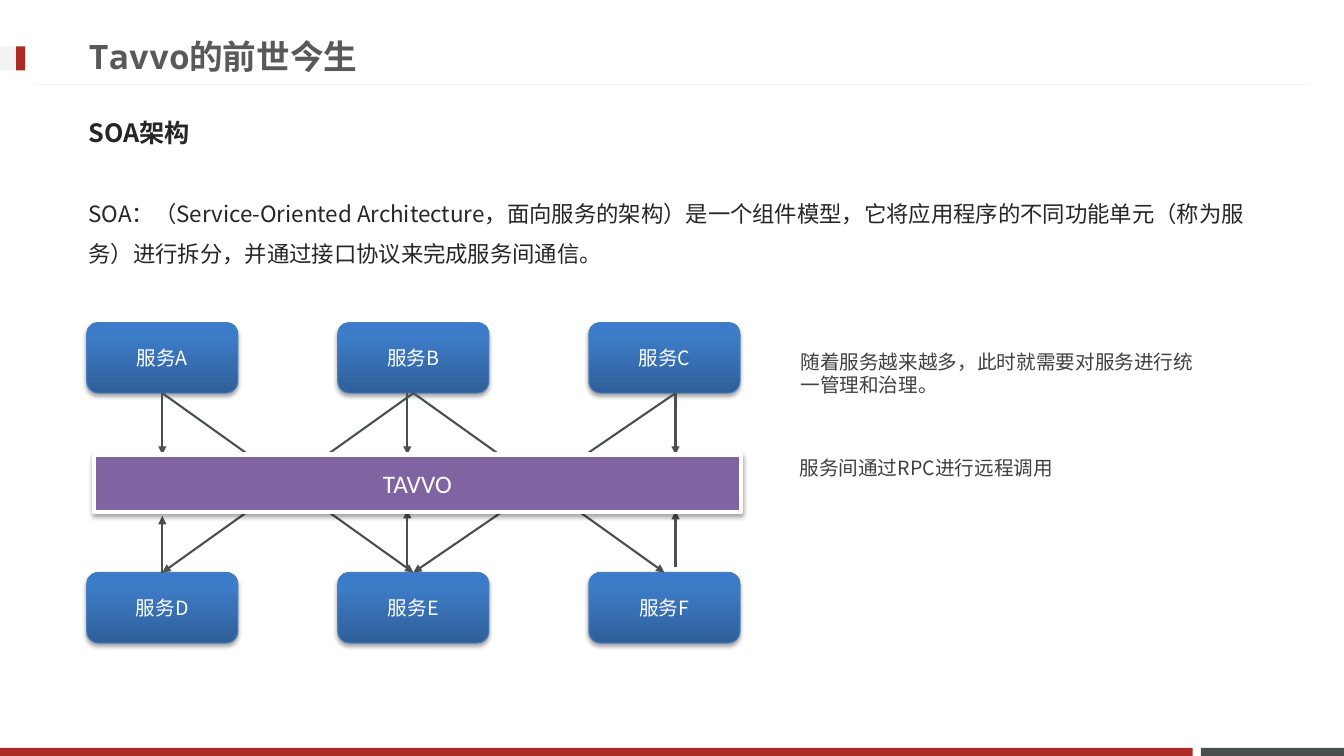
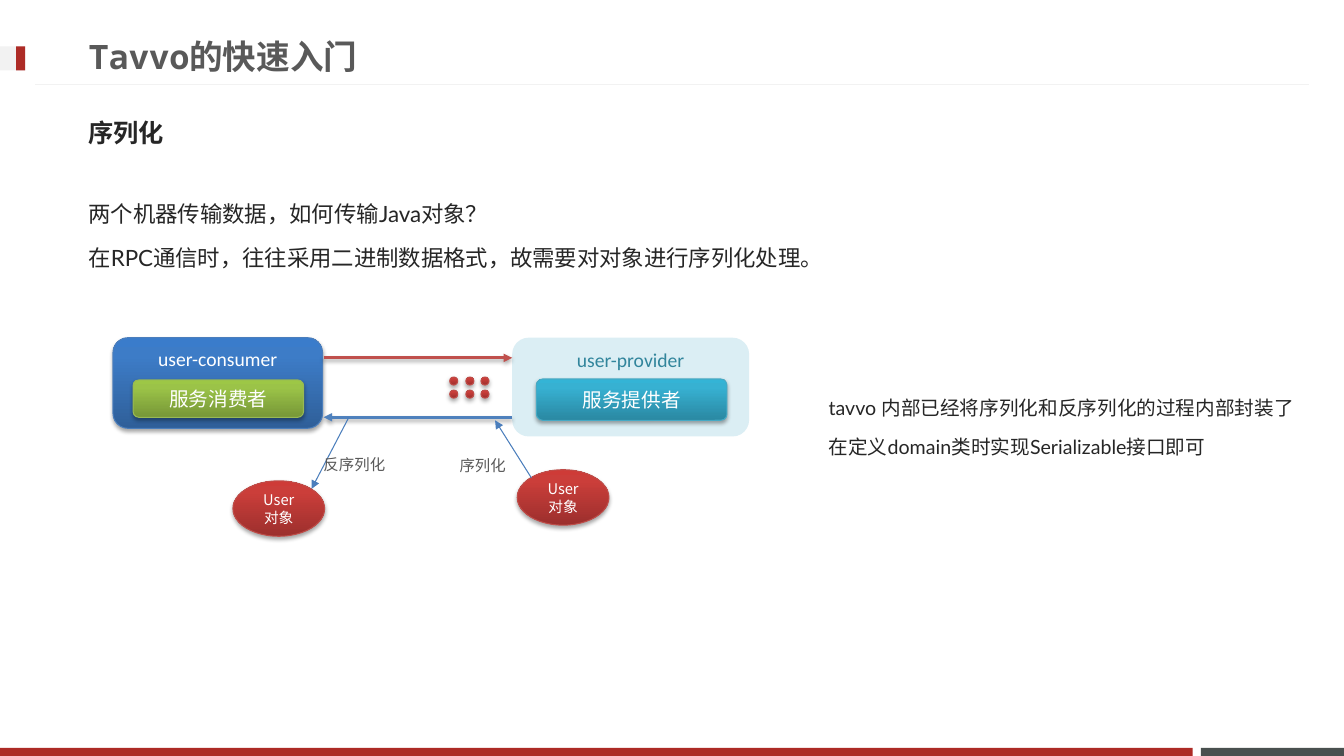
from dataclasses import dataclass

from lxml import etree
from pptx import Presentation
from pptx import util as u
from pptx.dml.color import RGBColor
from pptx.enum import shapes as kinds, text
from pptx.oxml import parse_xml
from pptx.oxml.ns import nsdecls, qn


@dataclass(frozen=True)
class Theme:
    red: str = "AD2B26"
    slate: str = "49504F"
    pale: str = "F2F2F2"
    white: str = "FFFFFF"
    purple: str = "8064A2"
    mist: str = "DBEEF4"
    request: str = "C0504D"
    response: str = "4F81BD"
    edge: str = "4B7EBC"
    blue: tuple = ("2F5F99", "3D7CC7", "3A7CCB", "4B7EBC")
    teal: tuple = ("2A88A2", "37B1D2", "34B4D6", "46AAC5")
    green: tuple = ("779737", "9BC348", "9DC746", "98B955")
    crimson: tuple = ("9C2F2D", "CB3E3A", "CE3B37", "BF4C48")
    east_asian: str = "Noto Sans CJK SC"
    title: tuple = ("Noto Sans Mono", 24, "595959", True)
    subtitle: tuple = ("Noto Sans CJK JP", 18, "262626", True)
    body: tuple = ("Noto Sans CJK SC", 16, "262626", False)
    body_lato: tuple = ("Lato", 16, "262626", False)
    remark: tuple = ("Noto Sans CJK JP", 14, "404040", False)
    remark_lato: tuple = ("Lato", 14, "262626", False)
    service: tuple = ("Noto Sans CJK JP", 14, "FFFFFF", False)
    bus: tuple = ("Calibri", 18, "FFFFFF", False)
    role: tuple = ("Calibri", 14, "FFFFFF", False)
    provider: tuple = ("Calibri", 14, "31859C", False)
    payload: tuple = ("Noto Sans CJK SC", 10.5, "FFFFFF", False)
    label: tuple = ("Noto Sans CJK JP", 11, "595959", False)


theme = Theme()
RECT = kinds.MSO_SHAPE.RECTANGLE
ROUND = kinds.MSO_SHAPE.ROUNDED_RECTANGLE
OVAL = kinds.MSO_SHAPE.OVAL
TOP, MIDDLE = text.MSO_ANCHOR.TOP, text.MSO_ANCHOR.MIDDLE
SHADOW = (
    f'<a:outerShdw {nsdecls("a")} blurRad="39400" dist="22900" dir="5400000" rotWithShape="0">'
    '<a:srgbClr val="000000"><a:alpha val="35000"/></a:srgbClr></a:outerShdw>'
)


def put(shapes, preset, at, fill=None, edge=None, lines=(), style=None, anchor=MIDDLE,
        spacing=None, before=0, shadow=False, wrap=True):
    box = [u.Inches(v) for v in at]
    part = shapes.add_shape(preset, *box) if preset else shapes.add_textbox(*box)
    if isinstance(fill, tuple):
        *stops, edge_color = fill
        edge, shadow = (edge_color, 0.75), True
        colors = "".join(
            f'<a:gs pos="{pos}"><a:srgbClr val="{color}"/></a:gs>'
            for pos, color in zip((0, 80000, 100000), stops)
        )
        part._element.spPr.insert(2, parse_xml(
            f'<a:gradFill {nsdecls("a")} rotWithShape="1"><a:gsLst>{colors}</a:gsLst>'
            '<a:lin ang="16200000" scaled="0"/></a:gradFill>'
        ))
    elif fill:
        part.fill.solid()
        part.fill.fore_color.rgb = RGBColor.from_string(fill)
    if edge:
        part.line.color.rgb = RGBColor.from_string(edge[0])
        part.line.width = u.Pt(edge[1])
    else:
        part.line.fill.background()
    part.shadow.inherit = False
    if shadow:
        part._element.spPr.find(qn("a:effectLst")).append(parse_xml(SHADOW))
    frame = part.text_frame
    frame.word_wrap = wrap
    frame.vertical_anchor = anchor
    for i, words in enumerate(lines):
        paragraph = frame.paragraphs[0] if i == 0 else frame.add_paragraph()
        paragraph.alignment = text.PP_ALIGN.CENTER if preset else text.PP_ALIGN.LEFT
        paragraph.space_before = u.Pt(before)
        if spacing:
            paragraph.line_spacing = spacing
        run = paragraph.add_run()
        run.text = words
        font = run.font
        font.name, size, color, font.bold = style
        font.size = u.Pt(size)
        font.color.rgb = RGBColor.from_string(color)
        etree.SubElement(run._r.rPr, qn("a:ea")).set("typeface", theme.east_asian)
    return part


def draw_line(shapes, start, end, color, width, arrow=True, shadow=False):
    line = shapes.add_connector(
        kinds.MSO_CONNECTOR.STRAIGHT, *[u.Inches(v) for v in (*start, *end)]
    )
    line.line.color.rgb = RGBColor.from_string(color)
    line.line.width = u.Pt(width)
    props = line._element.spPr
    if arrow:
        etree.SubElement(props.find(qn("a:ln")), qn("a:tailEnd")).set("type", "triangle")
    effects = etree.SubElement(props, qn("a:effectLst"))
    if shadow:
        effects.append(parse_xml(SHADOW))
    return line


deck = Presentation()
deck.slide_width, deck.slide_height = u.Inches(13.33), u.Inches(7.5)

pages = []
for title, subtitle in (("Tavvo的前世今生", "SOA架构"), ("Tavvo的快速入门", "序列化")):
    page = deck.slides.add_slide(deck.slide_layouts[6]).shapes
    put(page, RECT, (11.91, 7.42, 1.42, 0.08), theme.slate)
    put(page, RECT, (0, 7.42, 11.83, 0.08), theme.red)
    draw_line(page, (12.98, 0.84), (0.35, 0.84), theme.pale, 0.75, arrow=False)
    marker = page.add_group_shape().shapes
    put(marker, RECT, (0, 0.46, 0.25, 0.24), theme.pale)
    put(marker, RECT, (0.16, 0.46, 0.09, 0.24), theme.red)
    put(page, None, (0.78, 0.27, 9.59, 0.57), lines=[title], style=theme.title)
    put(page, None, (0.78, 1.03, 11.76, 0.57), lines=[subtitle], style=theme.subtitle)
    pages.append(page)
soa, serialization = pages

put(soa, None, (0.78, 1.8, 11.76, 1.26), lines=[
    "SOA：（Service-Oriented Architecture，面向服务的架构）是一个组件模型，"
    "它将应用程序的不同功能单元（称为服务）进行拆分，并通过接口协议来完成服务间通信。"
], style=theme.body, anchor=TOP, spacing=1.5)

upper, lower, bus_top = 3.2, 5.68, 4.51
upper_bottom = upper + 0.7
services = {}
for i, letter in enumerate("ABCDEF"):
    row, column = divmod(i, 3)
    services[letter] = put(
        soa, ROUND, (0.86 + 2.49 * column, (upper, lower)[row], 1.5, 0.7),
        theme.blue, lines=[f"服务{letter}"], style=theme.service,
    )

lanes = (1.61, 4.04, 6.7)
for x in lanes:
    to_bus = draw_line(soa, (x, upper_bottom), (x, bus_top), theme.slate, 1.5)
    if x == lanes[0]:
        to_bus.begin_connect(services["A"], 2)
for x, start, end in zip(lanes, (lower, 5.63, 5.63), (5.12, 5.06, 5.07)):
    from_below = draw_line(soa, (x, start), (x, end), theme.slate, 1.5)
    if x == lanes[0]:
        from_below.begin_connect(services["D"], 0)

centers = dict(zip("ABCDEF", (1.61, 4.1, 6.7, 1.61, 4.1, 6.59)))
for caller, callee in ("AE", "BD", "BF", "CE"):
    call = draw_line(soa, (centers[caller], upper_bottom), (centers[callee], lower),
                     theme.slate, 1.5)
    if caller != "C":
        call.begin_connect(services[caller], 2)
    call.end_connect(services[callee], 0)

put(soa, RECT, (0.93, bus_top, 6.42, 0.57), theme.purple, (theme.white, 3),
    ["TAVVO"], theme.bus, shadow=True)
for x, y, remark in (
    (7.84, 2.96, "随着服务越来越多，此时就需要对服务进行统一管理和治理。"),
    (7.83, 3.9, "服务间通过RPC进行远程调用"),
):
    put(soa, None, (x, y, 4.15, 1.48), lines=[remark], style=theme.remark)

put(serialization, None, (0.78, 1.8, 11.76, 0.97), lines=[
    "两个机器传输数据，如何传输Java对象？",
    "在RPC通信时，往往采用二进制数据格式，故需要对对象进行序列化处理。",
], style=theme.body_lato, anchor=TOP, spacing=1.5, before=3.2)
put(serialization, None, (8.12, 3.76, 5.2, 1.4), lines=[
    "tavvo 内部已经将序列化和反序列化的过程内部封装了",
    "在定义domain类时实现Serializable接口即可",
], style=theme.remark_lato, anchor=TOP, spacing=1.5, before=2.8)

for name, outer, fill, name_style, role, inner, role_fill in (
    ("user-provider", (5.08, 3.35, 2.35, 0.98), theme.mist, theme.provider,
     "服务提供者", (5.32, 3.76, 1.89, 0.41), theme.teal),
    ("user-consumer", (1.12, 3.35, 2.08, 0.9), theme.blue, theme.role,
     "服务消费者", (1.32, 3.77, 1.69, 0.37), theme.green),
):
    machine = serialization.add_group_shape().shapes
    put(machine, ROUND, outer, fill, lines=[name], style=name_style, anchor=TOP)
    badge = put(machine, ROUND, inner, role_fill, lines=[role], style=theme.role)
    badge.adjustments[0] = 0.15

draw_line(serialization, (3.21, 3.55), (5.08, 3.55), theme.request, 2, shadow=True)
draw_line(serialization, (5.08, 4.14), (3.21, 4.14), theme.response, 2, shadow=True)

packets = serialization.add_group_shape().shapes
for y in (3.74, 3.87):
    for x in (4.46, 4.62, 4.77):
        put(packets, OVAL, (x, y, 0.08, 0.08), theme.crimson)

for x, y in ((5.13, 4.66), (2.31, 4.77)):
    put(serialization, OVAL, (x, y, 0.91, 0.55), theme.crimson,
        lines=["User对象"], style=theme.payload)

for step, at, start, end in (
    ("序列化", (4.46, 4.48, 0.66, 0.29), (5.27, 4.74), (4.91, 4.17)),
    ("反序列化", (3.11, 4.47, 0.82, 0.29), (3.46, 4.14), (3.09, 4.85)),
):
    conversion = serialization.add_group_shape().shapes
    draw_line(conversion, start, end, theme.edge, 0.75)
    put(conversion, None, at, lines=[step], style=theme.label, anchor=TOP, wrap=False)

deck.save("out.pptx")
